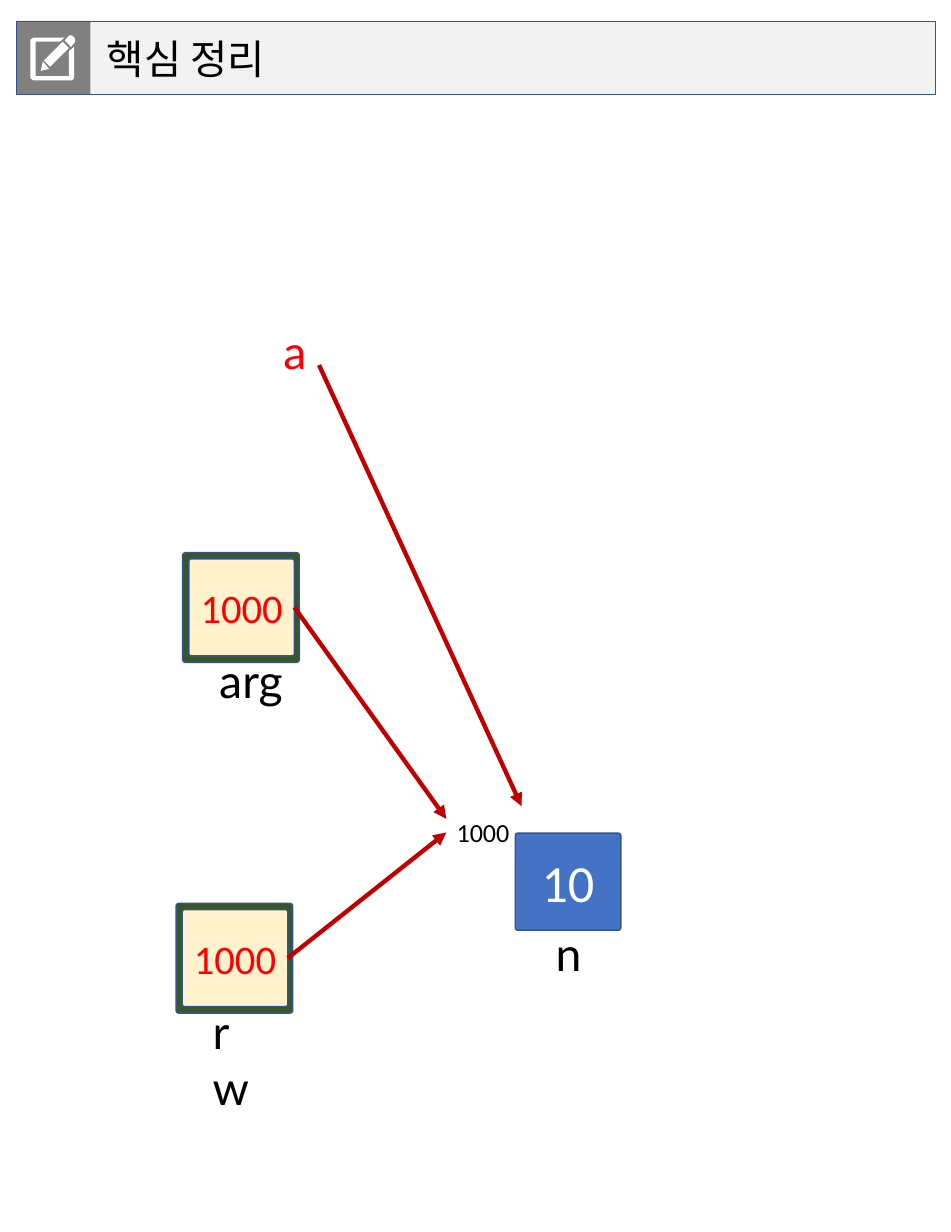
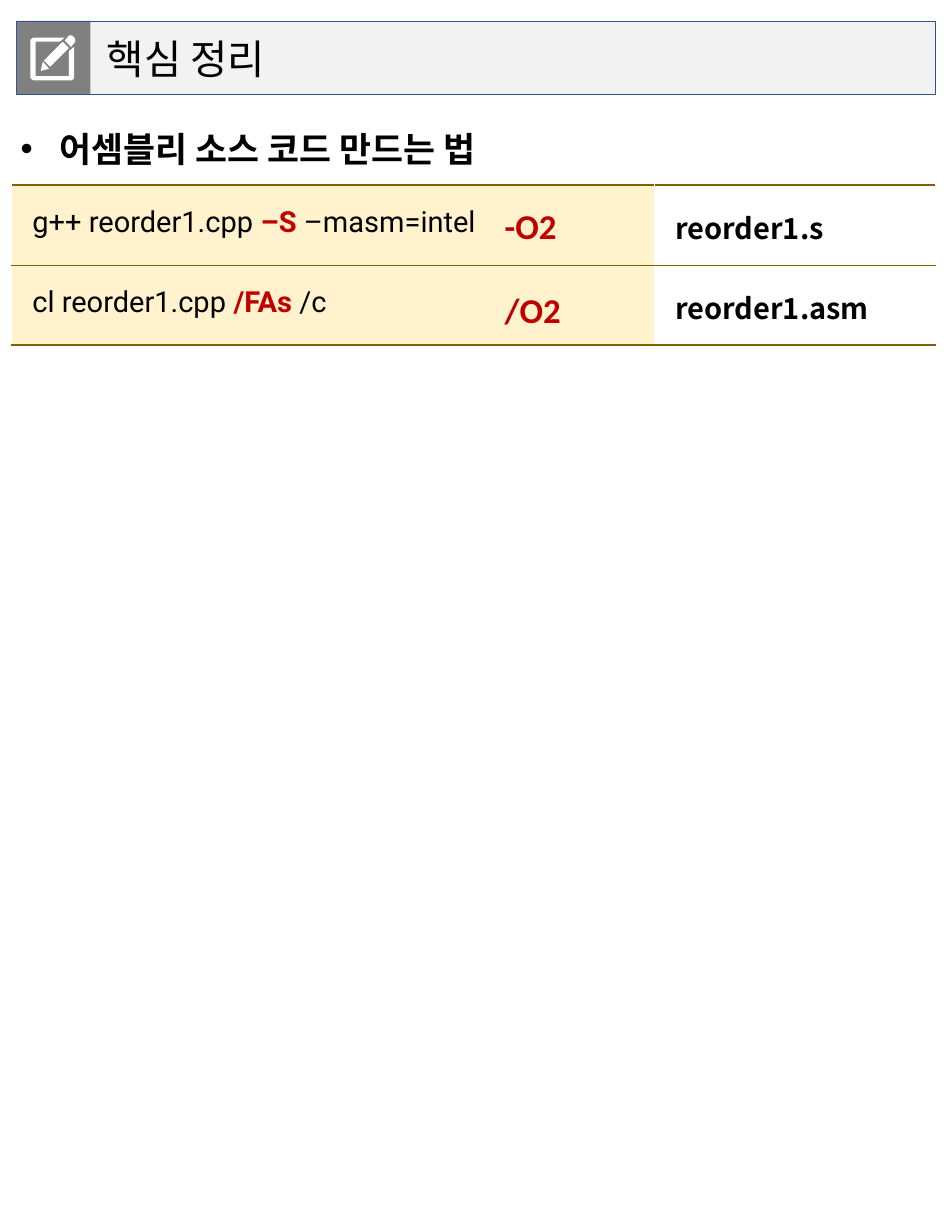
from lxml import etree
from pptx import Presentation
from pptx.dml.color import RGBColor
from pptx.enum.dml import MSO_LINE
from pptx.enum.shapes import MSO_CONNECTOR, MSO_SHAPE
from pptx.enum.text import MSO_ANCHOR, MSO_AUTO_SIZE, PP_ALIGN
from pptx.oxml.ns import qn
from pptx.util import Cm, Pt

RECT, ROUND = MSO_SHAPE.RECTANGLE, MSO_SHAPE.ROUNDED_RECTANGLE
STRAIGHT, SOLID = MSO_CONNECTOR.STRAIGHT, MSO_LINE.SOLID
TOP, MIDDLE = MSO_ANCHOR.TOP, MSO_ANCHOR.MIDDLE
LEFT, CENTER = PP_ALIGN.LEFT, PP_ALIGN.CENTER
FIXED, GROW = MSO_AUTO_SIZE.NONE, MSO_AUTO_SIZE.SHAPE_TO_FIT_TEXT

BLACK = RGBColor(0x00, 0x00, 0x00)
WHITE = RGBColor(0xFF, 0xFF, 0xFF)
RED = RGBColor(0xFF, 0x00, 0x00)
CRIMSON = RGBColor(0xC0, 0x00, 0x00)
BLUE = RGBColor(0x44, 0x72, 0xC4)
NAVY = RGBColor(0x32, 0x54, 0x91)
GREEN = RGBColor(0x38, 0x57, 0x23)
CREAM = RGBColor(0xFF, 0xF2, 0xCC)
BROWN = RGBColor(0x80, 0x60, 0x00)
GRAY = RGBColor(0x80, 0x80, 0x80)
PALE = RGBColor(0xF2, 0xF2, 0xF2)

LATO, CALIBRI, ROBOTO, NOTO = "Lato", "Calibri", "Roboto", "Noto Sans CJK KR"

BAND = (0.4, 0.51, 22.38, 1.8)
TITLE_ONLY, TITLE_AND_BODY = 5, 1
PENCIL = [
    [(43, 7), (39, 12), (33, 6), (37, 1), (40, 1), (43, 4)],
    [(12, 26), (18, 33), (10, 35)],
    [(37, 13), (19, 31), (13, 25), (31, 7)],
    [(5, 7), (5, 40), (37, 40), (37, 16), (42, 12), (42, 42), (40, 44),
     (3, 44), (0, 42), (0, 5), (3, 3), (33, 3), (28, 7)],
]


def add_text(p, text, size=32, font=LATO, color=BLACK, bold=False):
    """Add a formatted run to a paragraph."""
    r = p.add_run()
    r.text = text
    r.font.size, r.font.name, r.font.bold = Pt(size), font, bold
    r.font.color.rgb = color
    ea = etree.SubElement(r.font._element, qn("a:ea"))
    ea.set("typeface", font)


def set_margins(target, left, top, right, bottom):
    """Set the inner margins of a text frame or table cell in cm."""
    target.margin_left, target.margin_top = Cm(left), Cm(top)
    target.margin_right, target.margin_bottom = Cm(right), Cm(bottom)


def place(sp, x, y, w, h):
    """Move and size a shape in cm."""
    sp.left, sp.top, sp.width, sp.height = Cm(x), Cm(y), Cm(w), Cm(h)


def set_border(cell, side, color, width):
    """Draw one border of a table cell."""
    ln = etree.SubElement(cell._tc.get_or_add_tcPr(), qn(f"a:ln{side}"))
    ln.set("w", str(Pt(width)))
    fill = etree.SubElement(ln, qn("a:solidFill"))
    etree.SubElement(fill, qn("a:srgbClr")).set("val", str(color))


class Deck:
    """Hold the shared style and the current slide."""

    def __init__(self):
        """Start an empty portrait presentation."""
        self.prs = Presentation()
        self.prs.slide_width, self.prs.slide_height = Cm(23.16), Cm(30)
        self.s = None

    def new_slide(self, title, layout):
        """Add a slide with the title band and pencil icon."""
        self.s = self.prs.slides.add_slide(self.prs.slide_layouts[layout])
        sp = self.s.shapes.title
        place(sp, *BAND)
        sp.fill.solid()
        sp.fill.fore_color.rgb = PALE
        tf = sp.text_frame
        tf.auto_size, tf.vertical_anchor = FIXED, MIDDLE
        set_margins(tf, 2.2, 0.13, 0.25, 0.13)
        tf.paragraphs[0].alignment = LEFT
        add_text(tf.paragraphs[0], title, size=28, font=NOTO)
        x, y, _, h = BAND
        self.box(x, y, h, h, fill=GRAY)
        self.box(*BAND, line=NAVY, line_width=0.5)
        self.icon(x + 0.34, y + 0.33)

    def icon(self, x, y):
        """Draw the pencil icon from its outlines."""
        builder = self.s.shapes.build_freeform(*PENCIL[0][0], scale=Cm(2.54) / 100)
        for outline in PENCIL:
            builder.move_to(*outline[0])
            builder.add_line_segments(outline[1:], close=True)
        sp = builder.convert_to_shape(Cm(x), Cm(y))
        sp.shadow.inherit = False
        sp.fill.solid()
        sp.fill.fore_color.rgb = WHITE
        sp.line.fill.background()

    def box(self, x, y, w, h, kind=RECT, fill=None, line=None, line_width=1,
            text="", **fmt):
        """Add a preset shape with optional centred text."""
        sp = self.s.shapes.add_shape(kind, Cm(x), Cm(y), Cm(w), Cm(h))
        sp.shadow.inherit = False
        if kind == ROUND:
            sp.adjustments[0] = 0.024
        if fill is None:
            sp.fill.background()
        else:
            sp.fill.solid()
            sp.fill.fore_color.rgb = fill
        if line is None:
            sp.line.fill.background()
        else:
            sp.line.color.rgb = line
            sp.line.width = Pt(line_width)
        if text:
            tf = sp.text_frame
            tf.vertical_anchor = MIDDLE
            tf.paragraphs[0].alignment = CENTER
            add_text(tf.paragraphs[0], text, **fmt)
        return sp

    def label(self, x, y, w, h, *lines, wrap=False, gap=0, **fmt):
        """Add a text box with one paragraph per line."""
        sp = self.s.shapes.add_textbox(Cm(x), Cm(y), Cm(w), Cm(h))
        tf = sp.text_frame
        tf.word_wrap, tf.auto_size = wrap, GROW
        for i, text in enumerate(lines):
            p = tf.add_paragraph() if i else tf.paragraphs[0]
            if i:
                p.space_before = Pt(gap)
            add_text(p, text, **fmt)
        return sp

    def arrow(self, start, end, source=None, target=None):
        """Add an arrow, joined from a right side to a left side if given."""
        c = self.s.shapes.add_connector(STRAIGHT, *map(Cm, start + end))
        if source is not None:
            c.begin_connect(source, 3)
        if target is not None:
            c.end_connect(target, 1)
        c.line.color.rgb, c.line.width = CRIMSON, Pt(3)
        c.line.dash_style = SOLID
        sp_pr = c._element.spPr
        etree.SubElement(sp_pr.find(qn("a:ln")), qn("a:tailEnd")).set("type", "triangle")
        etree.SubElement(sp_pr, qn("a:effectLst"))

    def pointer(self, x, y, name, name_width, wrap=False):
        """Add a framed pointer cell with its name below."""
        self.box(x, y, 2.84, 2.67, kind=ROUND, fill=GREEN, line=NAVY)
        cell = self.box(x + 0.15, y + 0.15, 2.57, 2.36, kind=ROUND, fill=CREAM,
                        line=NAVY, text="1000", size=28, font=CALIBRI, color=RED)
        self.label(x + 0.64, y + 2.3, name_width, 1.63, name, wrap=wrap)
        return cell

    def bullet(self, x, y, w, h, text):
        """Fill the body placeholder with one bold bullet."""
        sp = self.s.placeholders[1]
        place(sp, x, y, w, h)
        tf = sp.text_frame
        tf.auto_size, tf.vertical_anchor = FIXED, TOP
        set_margins(tf, 0.5, 0.3, 0.25, 0.5)
        p = tf.paragraphs[0]
        p_pr = p._p.get_or_add_pPr()
        p_pr.set("marL", str(Cm(0.95)))
        p_pr.set("indent", str(-Cm(0.95)))
        etree.SubElement(p_pr, qn("a:buFont")).set("typeface", "Arial")
        etree.SubElement(p_pr, qn("a:buChar")).set("char", "•")
        p.line_spacing, p.space_before = 1.5, Pt(0)
        add_text(p, text, size=24, font=NOTO, bold=True)

    def command_table(self, x, y, widths, row_height, rows):
        """Add a table of commands and the files they write."""
        table = self.s.shapes.add_table(
            len(rows), len(widths), Cm(x), Cm(y), Cm(sum(widths)),
            Cm(row_height * len(rows))).table
        table.first_row = table.horz_banding = False
        for column, width in zip(table.columns, widths):
            column.width = Cm(width)
        for i, (command, output) in enumerate(rows):
            table.rows[i].height = Cm(row_height)
            command_cell, output_cell = table.cell(i, 0), table.cell(i, 1)
            for cell in (command_cell, output_cell):
                for side in "LR":
                    set_border(cell, side, WHITE, 1)
                set_border(cell, "T", BROWN, 1.5 if i == 0 else 0.5)
                set_border(cell, "B", BROWN, 1.5 if i == len(rows) - 1 else 0.5)
            command_cell.fill.solid()
            command_cell.fill.fore_color.rgb = CREAM
            output_cell.fill.background()
            set_margins(command_cell, 0.51, 0.51, 0.25, 0.61)
            set_margins(output_cell, 0.51, 0.51, 0.25, 0.4)
            command_cell.vertical_anchor = MIDDLE
            output_cell.vertical_anchor = MIDDLE if i else TOP
            for j, part in enumerate(command):
                flag = j == 1
                add_text(command_cell.text_frame.paragraphs[0], part, size=20,
                         font=ROBOTO, color=CRIMSON if flag else BLACK, bold=flag)
            add_text(output_cell.text_frame.paragraphs[0], output, size=20,
                     font=NOTO, bold=True)


def pointer_slide(deck):
    """Build the slide of pointers to one variable."""
    deck.new_slide("핵심 정리", TITLE_ONLY)
    deck.box(12.55, 20.29, 2.57, 2.36, kind=ROUND, fill=BLUE, line=NAVY,
             text="10", size=36, font=CALIBRI, color=WHITE)
    deck.label(13.28, 22.4, 1.12, 1.63, "n")
    address = deck.label(10.87, 19.76, 1.8, 1.02, "1000", size=18, font=CALIBRI)
    rw = deck.pointer(4.29, 22, "rw", 1.7, wrap=True)
    deck.arrow((7.01, 23.33), (10.87, 20.27), source=rw, target=address)
    deck.label(6.65, 7.75, 1.07, 1.63, "a", color=RED)
    deck.arrow((7.77, 8.89), (12.7, 19.63))
    arg = deck.pointer(4.45, 13.46, "arg", 2.11)
    deck.arrow((7.17, 14.79), (10.87, 19.94), source=arg)


def assembly_slide(deck):
    """Build the slide of commands that write assembly."""
    deck.new_slide("핵심 정리", TITLE_AND_BODY)
    deck.bullet(0, 2.29, 23.14, 2.21, "어셈블리 소스 코드 만드는 법")
    deck.command_table(0.28, 4.5, (15.65, 6.86), 1.94, [
        (("g++ reorder1.cpp ", "–S ", "–masm=intel"), "reorder1.s"),
        (("cl reorder1.cpp ", "/FAs ", "/c"), "reorder1.asm"),
    ])
    deck.label(12.04, 4.85, 1.9, 3.33, "-O2", "/O2", gap=29.3,
               size=24, font=CALIBRI, color=CRIMSON, bold=True)


def main():
    """Build and save the presentation."""
    deck = Deck()
    pointer_slide(deck)
    assembly_slide(deck)
    deck.prs.save("out.pptx")


if __name__ == "__main__":
    main()
